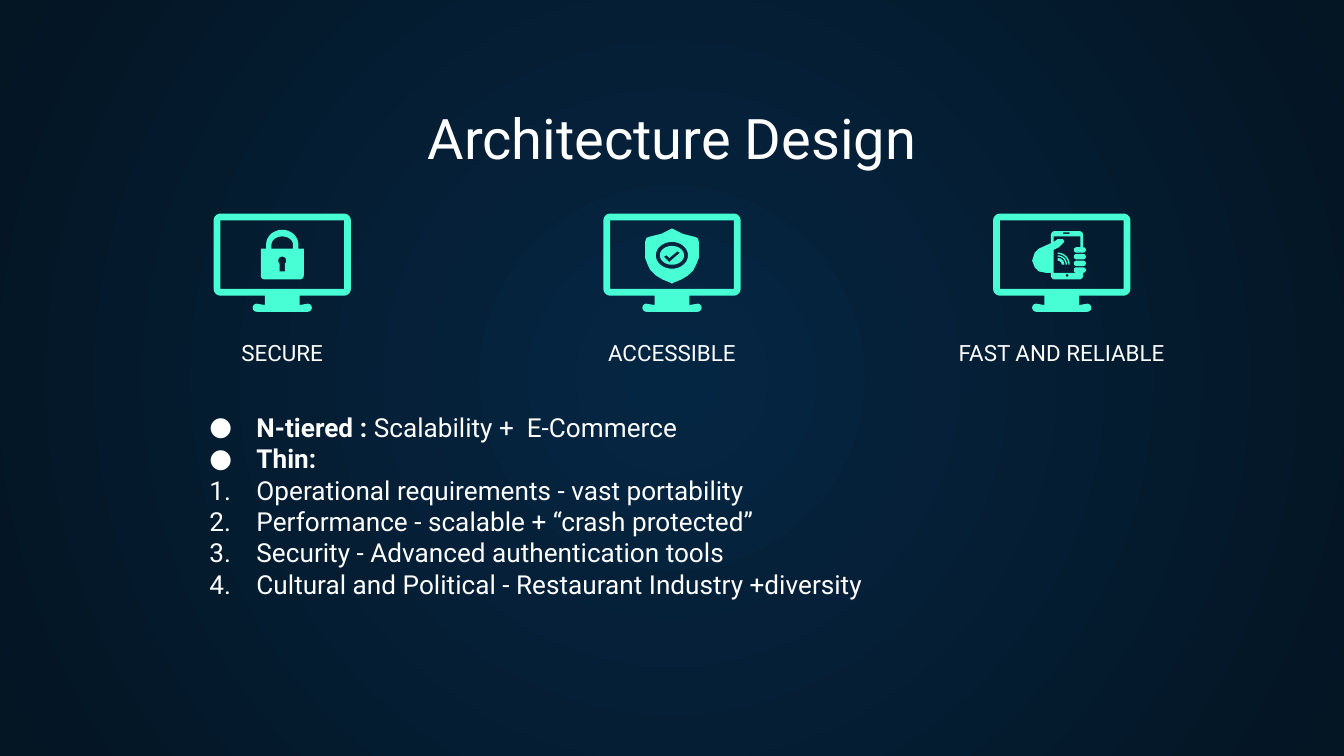
import math

import pptx
import pptx.dml.color
import pptx.enum.text
import pptx.util
from pptx.oxml.ns import qn

Inches = pptx.util.Inches
WHITE = pptx.dml.color.RGBColor(0xFF, 0xFF, 0xFF)
MINT = pptx.dml.color.RGBColor(0x48, 0xFF, 0xD5)
NAVY = pptx.dml.color.RGBColor(0x05, 0x26, 0x43)
MIDNIGHT = pptx.dml.color.RGBColor(0x04, 0x15, 0x23)
FONT = "Roboto"
FIRST_CENTRE, COLUMN_STEP, COLUMN_WIDTH = 2.1, 2.9, 2.14
ICON_TOP, LABEL_TOP = 1.59, 2.64
BULLETS = [
    ("●", "N-tiered : ", "Scalability +  E-Commerce"),
    ("●", "Thin:", ""),
    ("1.", "", "Operational requirements - vast portability"),
    ("1.", "", "Performance - scalable + “crash protected”"),
    ("1.", "", "Security - Advanced authentication tools"),
    ("1.", "", "Cultural and Political - Restaurant Industry +diversity"),
]


def arc(x, y, radius, start, end, radius_y=None, steps=16):
    """Points on an elliptical arc; angles run clockwise from the right."""
    radius_y = radius_y or radius
    angles = [math.radians(start + (end - start) * i / steps) for i in range(steps + 1)]
    return [(x + radius * math.cos(a), y + radius_y * math.sin(a)) for a in angles]


def rectangle(left, top, right, bottom):
    return [(left, top), (right, top), (right, bottom), (left, bottom)]


def pill(left, top, width, height):
    radius = height / 2
    return (arc(left + radius, top + radius, radius, 90, 270)
            + arc(left + width - radius, top + radius, radius, -90, 90))


def monitor():
    outline = (arc(-0.46, 0.05, 0.05, 180, 270) + arc(0.46, 0.05, 0.05, 270, 360)
               + arc(0.46, 0.56, 0.05, 0, 90) + [(0.13, 0.61), (0.13, 0.68)]
               + arc(0.19, 0.7, 0.03, -90, 90) + arc(-0.19, 0.7, 0.03, 90, 270)
               + [(-0.13, 0.68), (-0.13, 0.61)] + arc(-0.46, 0.56, 0.05, 90, 180))
    return [outline, rectangle(-0.46, 0.05, 0.46, 0.56)]


def padlock():
    body = ([(-0.16, 0.26), (-0.12, 0.26)] + arc(0, 0.23, 0.12, 180, 360, 0.11)
            + [(0.12, 0.26), (0.16, 0.26)]
            + arc(0.13, 0.46, 0.03, 0, 90) + arc(-0.13, 0.46, 0.03, 90, 180))
    opening = arc(0, 0.23, 0.08, 180, 360, 0.06) + [(0.08, 0.26), (-0.08, 0.26)]
    keyhole = arc(0, 0.35, 0.03, 130, 410) + [(0.02, 0.43), (-0.02, 0.43)]
    return [body, opening, keyhole]


def shield():
    right = [(0, 0.11), (0.02, 0.12), (0.08, 0.15), (0.16, 0.17), (0.19, 0.18),
             (0.2, 0.21), (0.2, 0.27), (0.2, 0.33), (0.18, 0.38), (0.16, 0.42),
             (0.12, 0.46), (0.07, 0.49), (0.02, 0.51), (0, 0.52)]
    left = [(-x, y) for x, y in reversed(right)]
    tick = [(-0.06, 0.32), (-0.04, 0.31), (-0.02, 0.33), (0.04, 0.28),
            (0.06, 0.29), (-0.02, 0.36)]
    return [right + left, arc(0, 0.31, 0.12, 0, 360, 0.1, 32),
            arc(0, 0.31, 0.09, 0, 360, 0.07, 32), tick]


def hand_with_phone():
    thumb = [(-0.06, 0.21), (-0.03, 0.19), (0.01, 0.19), (0.02, 0.21),
             (-0.02, 0.25), (-0.06, 0.27)]
    palm = [(-0.08, 0.44), (-0.12, 0.44), (-0.17, 0.43), (-0.2, 0.4),
            (-0.22, 0.35), (-0.2, 0.29), (-0.17, 0.26), (-0.08, 0.22)]
    outline = (arc(-0.05, 0.16, 0.03, 180, 270) + arc(0.13, 0.16, 0.03, 270, 360)
               + [(0.16, 0.25), (0.14, 0.25), (0.14, 0.17), (-0.06, 0.17)] + thumb
               + [(-0.06, 0.44), (0.14, 0.44), (0.16, 0.44)]
               + arc(0.13, 0.46, 0.03, 0, 90) + arc(-0.05, 0.46, 0.03, 90, 180) + palm)
    fingers = [pill(0.09, 0.25 + 0.05 * i, 0.09, 0.04) for i in range(4)]
    waves = [arc(-0.03, 0.38, outer, -90, 0) + arc(-0.03, 0.38, inner, 0, -90)
             for outer, inner in [(0.09, 0.08), (0.07, 0.06), (0.05, 0.03)]]
    details = [rectangle(0.01, 0.14, 0.06, 0.15), arc(0.04, 0.46, 0.01, 0, 360)]
    return [outline] + fingers + waves + details


def add_outline(page, contours, centre):
    """Draw contours, given in inches from the icon's top centre, as one shape."""
    builder = None
    for contour in contours:
        points = [(Inches(centre + x), Inches(ICON_TOP + y)) for x, y in contour]
        if builder is None:
            builder = page.shapes.build_freeform(*points[0])
        else:
            builder.move_to(*points[0])
        builder.add_line_segments(points[1:], close=True)
    shape = builder.convert_to_shape()
    shape.shadow.inherit = False
    shape.fill.solid()
    shape.fill.fore_color.rgb = MINT
    shape.line.fill.background()


def set_frame(box, anchor):
    frame = box.text_frame
    frame.word_wrap = True
    frame.auto_size = pptx.enum.text.MSO_AUTO_SIZE.NONE
    frame.vertical_anchor = anchor
    frame.margin_top = frame.margin_bottom = Inches(0.1)
    return frame


def set_font(para, size):
    para.font.name = FONT
    para.font.size = pptx.util.Pt(size)
    para.font.color.rgb = WHITE


def write_centred(box, text, size):
    frame = set_frame(box, pptx.enum.text.MSO_ANCHOR.BOTTOM)
    frame.text = text
    para = frame.paragraphs[0]
    para.alignment = pptx.enum.text.PP_ALIGN.CENTER
    set_font(para, size)


def set_bullet(para, mark):
    properties = para._p.get_or_add_pPr()
    properties.set("marL", str(Inches(0.5)))
    properties.set("indent", str(Inches(-0.35)))
    numbered = ("a:buAutoNum", {"type": "arabicPeriod"})
    style = numbered if mark == "1." else ("a:buChar", {"char": mark})
    for tag, attributes in (("a:buFont", {"typeface": FONT}), style):
        bullet = properties.makeelement(qn(tag), attributes)
        properties.insert_element_before(bullet, "a:tabLst", "a:defRPr", "a:extLst")


def add_bullets(page):
    box = page.shapes.add_textbox(Inches(1.31), Inches(2.96), Inches(7.38), Inches(2.48))
    frame = set_frame(box, pptx.enum.text.MSO_ANCHOR.TOP)
    for index, (mark, lead, rest) in enumerate(BULLETS):
        para = frame.add_paragraph() if index else frame.paragraphs[0]
        set_font(para, 14)
        set_bullet(para, mark)
        for text, bold in ((lead, True), (rest, False)):
            if text:
                span = para.add_run()
                span.text = text
                span.font.bold = bold


def set_background(page):
    """Fill the page with a gradient that spreads from its centre."""
    fill = page.background.fill
    fill.gradient()
    for stop, color in zip(fill.gradient_stops, (NAVY, MIDNIGHT)):
        stop.color.rgb = color
    gradient = page.element.find(".//" + qn("a:gradFill"))
    spread = gradient.makeelement(qn("a:path"), {"path": "circle"})
    spread.append(spread.makeelement(qn("a:fillToRect"), dict.fromkeys("ltrb", "50000")))
    gradient.replace(gradient.find(qn("a:lin")), spread)


def main():
    deck = pptx.Presentation()
    deck.slide_width = Inches(10)
    deck.slide_height = deck.slide_width * 9 // 16
    page = deck.slides.add_slide(deck.slide_layouts[5])
    set_background(page)
    title = page.shapes.title
    title.left, title.top = Inches(0.34), Inches(0.71)
    title.width, title.height = Inches(9.32), Inches(0.66)
    write_centred(title, "Architecture Design", 30)
    columns = [("SECURE", padlock), ("ACCESSIBLE", shield),
               ("FAST AND RELIABLE", hand_with_phone)]
    for index, (text, symbol) in enumerate(columns):
        centre = FIRST_CENTRE + COLUMN_STEP * index
        label = page.shapes.add_textbox(Inches(centre - COLUMN_WIDTH / 2), Inches(LABEL_TOP),
                                        Inches(COLUMN_WIDTH), Inches(0.17))
        write_centred(label, text, 12)
        add_outline(page, monitor(), centre)
        add_outline(page, symbol(), centre)
    add_bullets(page)
    deck.save("out.pptx")


if __name__ == "__main__":
    main()
